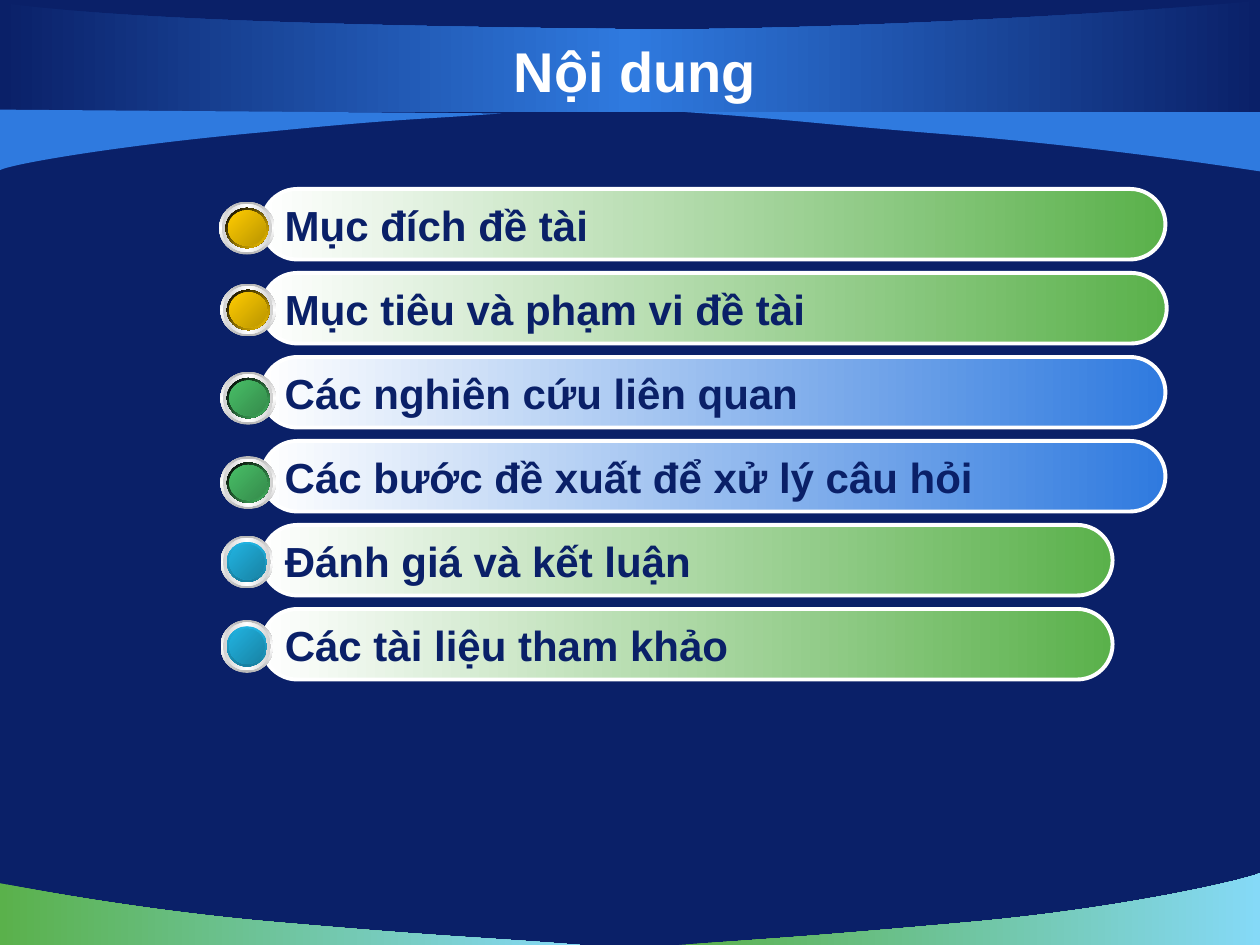
from lxml.etree import SubElement
from pptx import Presentation
from pptx.dml.color import RGBColor
from pptx.enum.shapes import MSO_SHAPE as Shape
from pptx.enum.text import MSO_ANCHOR as Anchor, PP_ALIGN as Align
from pptx.oxml.ns import qn
from pptx.util import Inches, Pt

NAVY = RGBColor(0x0A, 0x20, 0x68)
BLUE = RGBColor(0x2F, 0x7A, 0xDF)
GREEN = RGBColor(0x5A, 0xB1, 0x4B)
SKY = RGBColor(0x85, 0xD9, 0xF7)
WHITE = RGBColor(0xFF, 0xFF, 0xFF)
BLACK = RGBColor(0x00, 0x00, 0x00)
GRAY = RGBColor(0xB6, 0xB6, 0xB6)
SILVER = RGBColor(0xD1, 0xD1, 0xD1)
GOLD = RGBColor(0xFF, 0xCC, 0x00)
DARK_GOLD = RGBColor(0xBA, 0x95, 0x00)
EMERALD = RGBColor(0x48, 0xBE, 0x67)
DARK_EMERALD = RGBColor(0x35, 0x8B, 0x4B)
CYAN = RGBColor(0x21, 0xB3, 0xE1)
TEAL = RGBColor(0x18, 0x80, 0xA1)
DARK_CYAN = RGBColor(0x18, 0x83, 0xA4)

GOLD_BUTTON = ((BLACK, GOLD), 45, (GOLD, DARK_GOLD))
GREEN_BUTTON = ((BLACK, EMERALD), 45, (EMERALD, DARK_EMERALD))
CYAN_BUTTON = ((CYAN, TEAL), 90, (CYAN, DARK_CYAN))

WAVES = [
    ([(4.6, 7.5), (3.84, 7.44, 3.58, 7.44, 2.32, 7.33),
      (1.06, 7.23, 0.01, 7.01, 0, 7.01), (0, 7.5)], (GREEN, SKY)),
    ([(5.39, 7.5), (6.14, 7.45, 6.46, 7.43, 7.69, 7.32),
      (8.92, 7.21, 9.9, 6.98, 10, 6.93), (10, 7.5)], (GREEN, SKY)),
    ([(5.44, 0.89), (6.2, 0.94, 6.42, 0.98, 7.68, 1.08),
      (8.94, 1.19, 9.99, 1.36, 10, 1.36), (10, 0.88)], (BLUE,)),
    ([(0, 0.89), (10, 0.89), (10, 0), (9.64, 0.06, 6.53, 0.26, 4.87, 0.23),
      (3.21, 0.21, 1.01, 0.17, 0, 0.02)], (NAVY, BLUE, NAVY)),
    ([(3.98, 0.9), (3.31, 0.95, 3.18, 0.94, 2.08, 1.05),
      (0.97, 1.15, 0.09, 1.3, 0, 1.35), (0, 0.87)], (BLUE,)),
]

ITEMS = [
    ("Mục đích đề tài", 7.17, GREEN, GOLD_BUTTON, (1.74, 1.6, 0.44)),
    ("Mục tiêu và phạm vi đề tài", 7.18, GREEN, GOLD_BUTTON, (1.75, 2.25, 0.44)),
    ("Các nghiên cứu liên quan", 7.17, BLUE, GREEN_BUTTON, (1.75, 2.95, 0.44)),
    ("Các bước đề xuất để xử lý câu hỏi", 7.17, BLUE, GREEN_BUTTON, (1.75, 3.62, 0.44)),
    ("Đánh giá và kết luận", 6.75, GREEN, CYAN_BUTTON, (1.75, 4.25, 0.42)),
    ("Các tài liệu tham khảo", 6.75, GREEN, CYAN_BUTTON, (1.75, 4.92, 0.42)),
]
FIRST_BAR_TOP = 1.5
BAR_PITCH = 2 / 3


def write_text(box, text, *, size, color, align=Align.LEFT, font="Arial", bold=True):
    frame = box.text_frame
    frame.word_wrap = True
    frame.vertical_anchor = Anchor.MIDDLE
    para = frame.paragraphs[0]
    para.alignment = align
    span = para.add_run()
    span.text = text
    span.font.name = font
    span.font.size = Pt(size)
    span.font.bold = bold
    span.font.color.rgb = color


class SlidePainter:
    """Draws the styled elements of the contents slide on one page."""

    def __init__(self, page):
        self.page = page
        page.background.fill.solid()
        page.background.fill.fore_color.rgb = NAVY

    def paint(self, shape, colors, angle=0):
        shape.shadow.inherit = False
        shape.line.fill.background()
        if len(colors) == 1:
            shape.fill.solid()
            shape.fill.fore_color.rgb = colors[0]
            return
        shape.fill.gradient()
        gradient = shape._element.spPr.find(qn("a:gradFill"))
        stops = gradient.find(qn("a:gsLst"))
        for stop in list(stops):
            stops.remove(stop)
        for index, color in enumerate(colors):
            position = 100000 * index // (len(colors) - 1)
            stop = SubElement(stops, qn("a:gs"), pos=str(position))
            SubElement(stop, qn("a:srgbClr"), val=str(color))
        gradient.find(qn("a:lin")).set("ang", str(angle * 60000))

    def wave(self, outline, colors):
        points = [(Inches(x), Inches(y)) for part in outline
                  for x, y in zip(part[::2], part[1::2])]
        builder = self.page.shapes.build_freeform(*points[0])
        builder.add_line_segments(points[1:], close=True)
        shape = builder.convert_to_shape()
        lines = iter(list(shape._element.spPr.iter(qn("a:lnTo"))))
        for part in outline[1:]:
            segment = next(lines)
            if len(part) == 6:
                segment.tag = qn("a:cubicBezTo")
                for _ in range(2):
                    extra = next(lines)
                    segment.append(extra[0])
                    extra.getparent().remove(extra)
        self.paint(shape, colors)

    def title(self, text):
        box = self.page.shapes.add_textbox(Inches(0.5), Inches(0.25), Inches(9.08), Inches(0.62))
        write_text(box, text, size=32, color=WHITE, align=Align.CENTER)

    def bar(self, text, top, width, color):
        bar = self.page.shapes.add_shape(
            Shape.ROUNDED_RECTANGLE, Inches(2.08), Inches(top), Inches(width), Inches(0.56))
        bar.adjustments[0] = 0.5
        self.paint(bar, (WHITE, color))
        bar.line.color.rgb = WHITE
        bar.line.width = Pt(2.25)
        write_text(bar, text, size=24, color=NAVY)

    def button(self, left, top, width, rim, rim_angle, face):
        group = self.page.shapes.add_group_shape()
        layers = [
            (0, (GRAY, WHITE, GRAY), 90),
            (0.02, (SILVER, WHITE, SILVER), 0),
            (0.05, rim, rim_angle),
            (0.07, face, 45),
        ]
        for inset, colors, angle in layers:
            disc = group.shapes.add_shape(
                Shape.OVAL, Inches(left + inset), Inches(top + inset),
                Inches(width - 2 * inset), Inches(0.42 - 2 * inset))
            self.paint(disc, colors, angle)


def main():
    deck = Presentation()
    deck.slide_width = Inches(10)
    deck.slide_height = Inches(7.5)
    painter = SlidePainter(deck.slides.add_slide(deck.slide_layouts[6]))
    for outline, colors in WAVES:
        painter.wave(outline, colors)
    painter.title("Nội dung")
    for row, (text, width, color, button, place) in enumerate(ITEMS):
        painter.bar(text, FIRST_BAR_TOP + row * BAR_PITCH, width, color)
        painter.button(*place, *button)
    deck.save("out.pptx")


if __name__ == "__main__":
    main()
